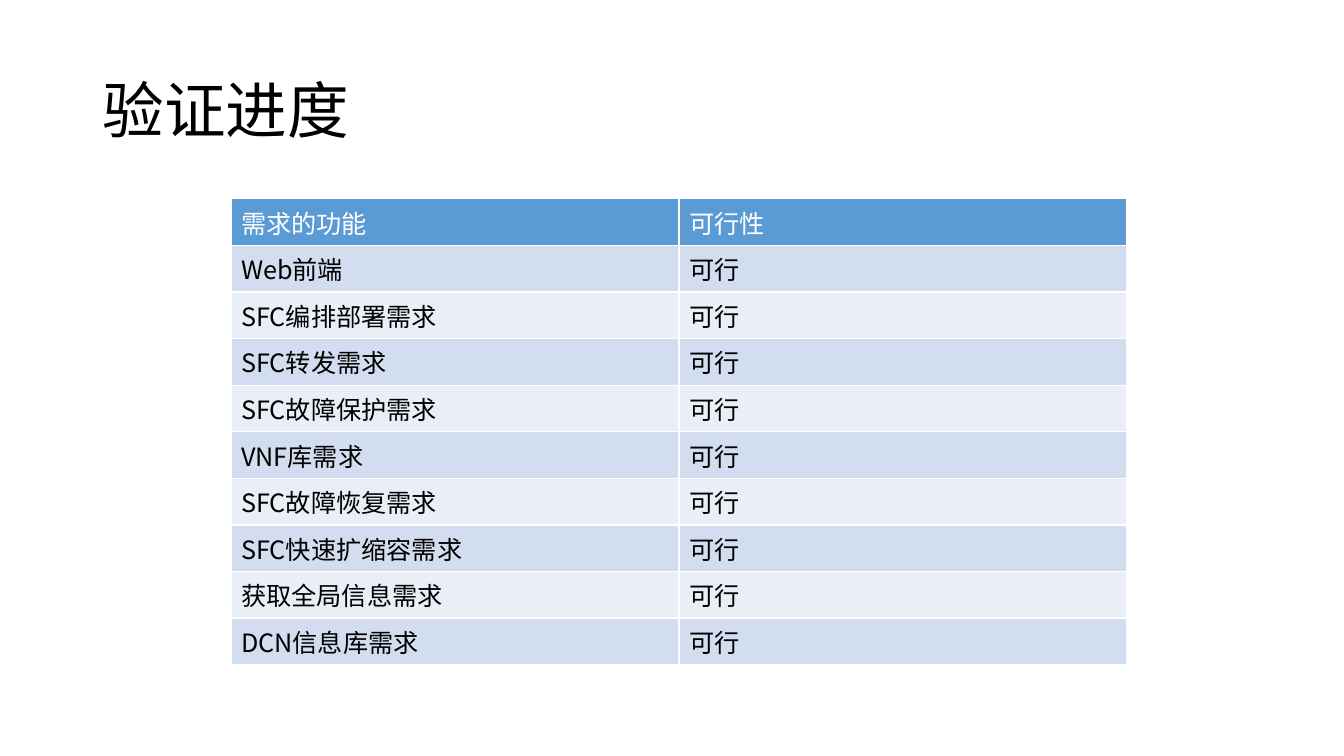
"""Build a slide with a table of verified features."""
from lxml import etree
from pptx import Presentation
from pptx.dml.color import RGBColor
from pptx.enum import text
from pptx.oxml import ns
from pptx.util import Pt

FONT = "Noto Sans CJK SC"
BLACK, WHITE = "000000", "FFFFFF"
HEADER_FILL = "5B9BD5"
BAND_FILLS = ("D2DEEF", "EAEFF7")
HEADINGS = ("需求的功能", "可行性")
FEATURES = (
    "Web前端",
    "SFC编排部署需求",
    "SFC转发需求",
    "SFC故障保护需求",
    "VNF库需求",
    "SFC故障恢复需求",
    "SFC快速扩缩容需求",
    "获取全局信息需求",
    "DCN信息库需求",
)
STATUS = "可行"
COLUMN_WIDTH = 320
ROW_HEIGHT = 33.2


def set_color(target, color):
    """Apply a hex colour to a fill."""
    target.solid()
    target.fore_color.rgb = RGBColor.from_string(color)


def add_run(paragraph, words, size, color):
    """Add one formatted run to a paragraph."""
    run = paragraph.add_run()
    run.text = words
    run.font.size = Pt(size)
    run.font.bold = False
    set_color(run.font.fill, color)
    run.font.name = FONT
    east_asian = etree.SubElement(run.font._element, ns.qn("a:ea"))
    east_asian.set("typeface", FONT)


def add_borders(cell, color, width):
    """Draw the four borders of a table cell."""
    properties = cell._tc.get_or_add_tcPr()
    for side in ("L", "R", "T", "B"):
        line = etree.SubElement(properties, ns.qn(f"a:ln{side}"), w=str(Pt(width)))
        fill = etree.SubElement(line, ns.qn("a:solidFill"))
        etree.SubElement(fill, ns.qn("a:srgbClr"), val=color)


def format_title(title, words):
    """Place and fill the title placeholder."""
    title.left, title.top = Pt(66), Pt(28.75)
    title.width, title.height = Pt(828), Pt(104.4)
    frame = title.text_frame
    frame.word_wrap = True
    frame.auto_size = text.MSO_AUTO_SIZE.NONE
    frame.vertical_anchor = text.MSO_ANCHOR.MIDDLE
    paragraph = frame.paragraphs[0]
    paragraph.alignment = text.PP_ALIGN.LEFT
    paragraph.line_spacing = 0.9
    add_run(paragraph, words, 44, color=BLACK)


def fill_cell(cell, words, fill, color):
    """Write and colour one table cell."""
    add_borders(cell, WHITE, 1)
    set_color(cell.fill, fill)
    add_run(cell.text_frame.paragraphs[0], words, 18, color)


def add_feature_table(slide):
    """Add the table of features with banded rows."""
    rows = [HEADINGS] + [(feature, STATUS) for feature in FEATURES]
    frame = slide.shapes.add_table(
        len(rows), len(HEADINGS), Pt(165), Pt(142),
        Pt(COLUMN_WIDTH * len(HEADINGS)), Pt(ROW_HEIGHT * len(rows)))
    table = frame.table
    for column in table.columns:
        column.width = Pt(COLUMN_WIDTH)
    for index, row in enumerate(rows):
        table.rows[index].height = Pt(ROW_HEIGHT)
        fill = BAND_FILLS[(index - 1) % 2] if index else HEADER_FILL
        color = BLACK if index else WHITE
        for position, words in enumerate(row):
            fill_cell(table.cell(index, position), words, fill, color)


def main():
    """Build and save the presentation."""
    presentation = Presentation()
    presentation.slide_width, presentation.slide_height = Pt(960), Pt(540)
    slide = presentation.slides.add_slide(presentation.slide_layouts[5])
    set_color(slide.background.fill, WHITE)
    format_title(slide.shapes.title, "验证进度")
    add_feature_table(slide)
    presentation.save("out.pptx")


if __name__ == "__main__":
    main()
